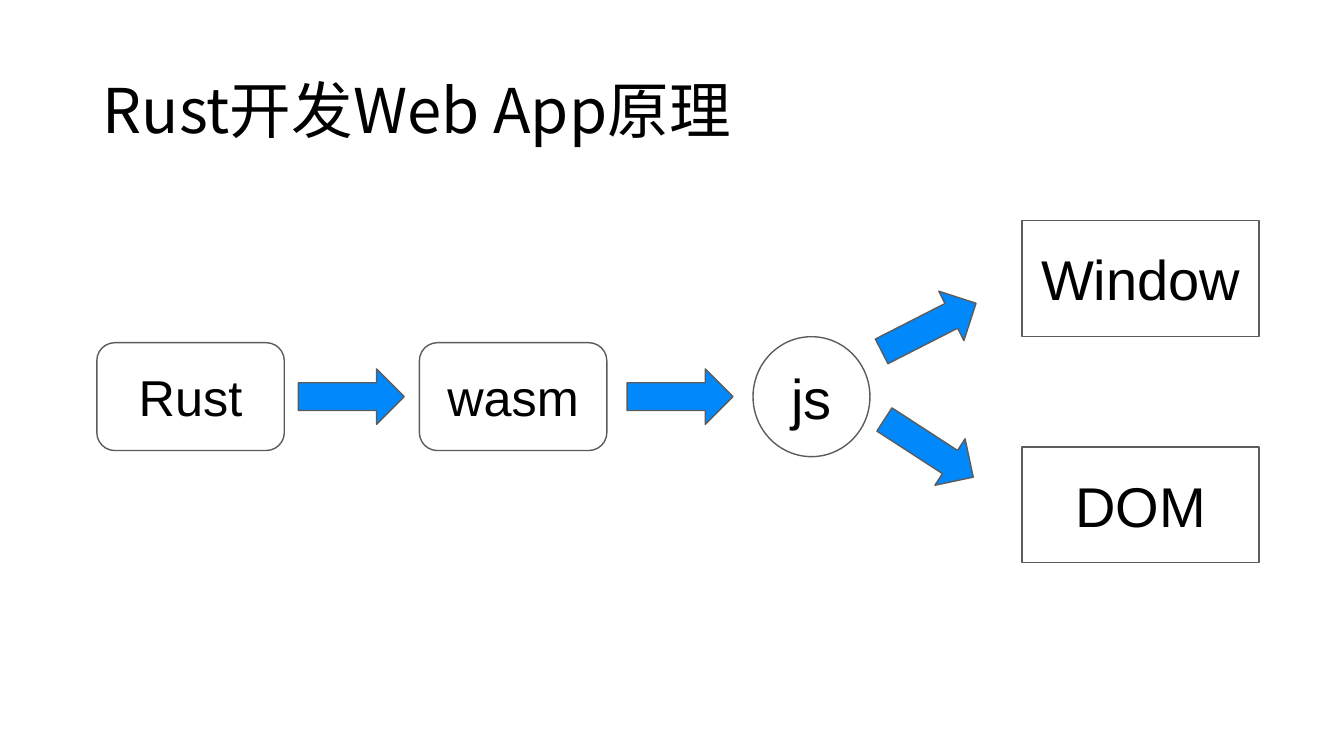
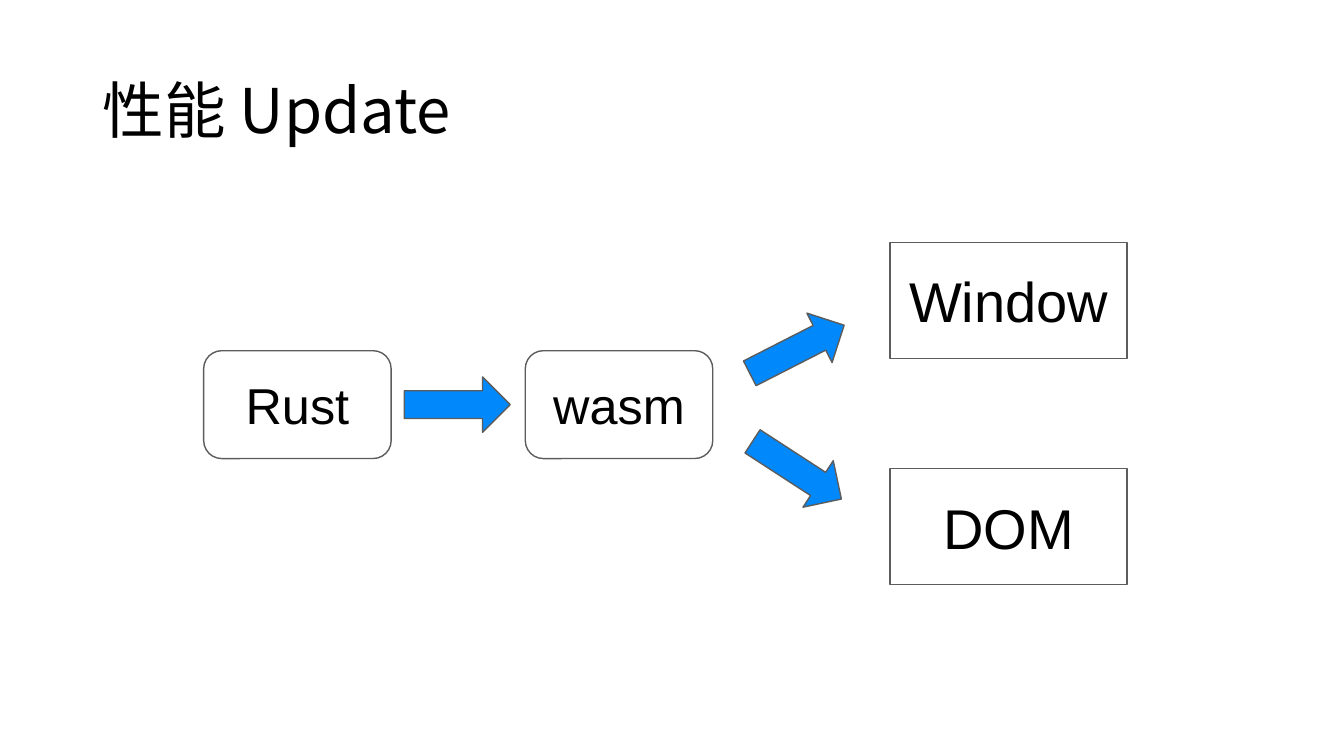
from pptx import Presentation
from pptx.dml.color import RGBColor
from pptx.enum.shapes import MSO_SHAPE
from pptx.enum.text import MSO_ANCHOR, PP_ALIGN
from pptx.oxml.ns import qn
from pptx.util import Inches, Pt
from lxml.etree import SubElement

COLORS = {"text": "000000", "box": "FFFFFF", "line": "5C5C5C", "arrow": "0188FB"}
BODY_FONT, TITLE_FONT = "Arial", "Noto Sans CJK SC"

prs = Presentation()
prs.slide_width, prs.slide_height = Inches(13.33), Inches(7.5)
COL, ROW = prs.slide_width / 100, prs.slide_height / 100  # percent grid

# kind: preset, columns wide, rows high, fill, text size
KINDS = {
    "step": (MSO_SHAPE.ROUNDED_RECTANGLE, 13.95, 14.27, "box", 36),
    "bridge": (MSO_SHAPE.OVAL, 8.7, 15.87, "box", 40),
    "target": (MSO_SHAPE.RECTANGLE, 17.63, 15.33, "box", 40),
    "arrow": (MSO_SHAPE.RIGHT_ARROW, 7.88, 7.33, "arrow", 0),
}
BRANCHES = [("Window", -1, 333), ("DOM", 1, 33)]  # text, side, arrow angle
TARGET_OFFSET, ARROW_OFFSET = 14.97, 8

SLIDES = [
    {
        "title": "Rust开发Web App原理",
        "flow_y": 52.47,
        "flow": [("step", 14.18, "Rust"), ("arrow", 26.14, ""),
                 ("step", 38.18, "wasm"), ("arrow", 50.6, ""),
                 ("bridge", 60.38, "js")],
        "branch_y": 51.8, "fork_x": 69.11, "target_x": 84.86,
    },
    {
        "title": "性能 Update",
        "flow_y": 53.53,
        "flow": [("step", 22.13, "Rust"), ("arrow", 34.02, ""),
                 ("step", 46.06, "wasm")],
        "branch_y": 54.7, "fork_x": 59.3, "target_x": 75.04,
    },
]


def add_text(tf, text, size, font):
    """Add one run to the first paragraph and return that paragraph."""
    tf.word_wrap = True
    tf.vertical_anchor = MSO_ANCHOR.MIDDLE
    p = tf.paragraphs[0]
    r = p.add_run()
    r.text = text
    r.font.size = Pt(size)
    r.font.name = font
    r.font.color.rgb = RGBColor.from_string(COLORS["text"])
    SubElement(r.font._element, qn("a:ea")).set("typeface", font)
    return p


def add_node(s, kind, x, y, text="", angle=0):
    """Draw a shape of the given kind centred on column x, row y."""
    preset, cols, rows, fill, size = KINDS[kind]
    sp = s.shapes.add_shape(preset, round((x - cols / 2) * COL), round((y - rows / 2) * ROW),
                            round(cols * COL), round(rows * ROW))
    sp.rotation = angle
    sp.shadow.inherit = False
    sp.fill.solid()
    sp.fill.fore_color.rgb = RGBColor.from_string(COLORS[fill])
    sp.line.color.rgb = RGBColor.from_string(COLORS["line"])
    sp.line.width = Pt(1)
    if text:
        add_text(sp.text_frame, text, size, BODY_FONT).alignment = PP_ALIGN.CENTER


for page in SLIDES:
    s = prs.slides.add_slide(prs.slide_layouts[6])
    title = s.shapes.add_textbox(round(6.9 * COL), round(5.33 * ROW),
                                 round(86.27 * COL), round(19.33 * ROW))
    add_text(title.text_frame, page["title"], 44, TITLE_FONT).line_spacing = 0.9

    for kind, x, text in page["flow"]:
        add_node(s, kind, x, page["flow_y"], text)

    for text, side, angle in BRANCHES:
        y = page["branch_y"]
        add_node(s, "target", page["target_x"], y + side * TARGET_OFFSET, text)
        add_node(s, "arrow", page["fork_x"], y - 0.5 + side * ARROW_OFFSET, angle=angle)

prs.save("out.pptx")
